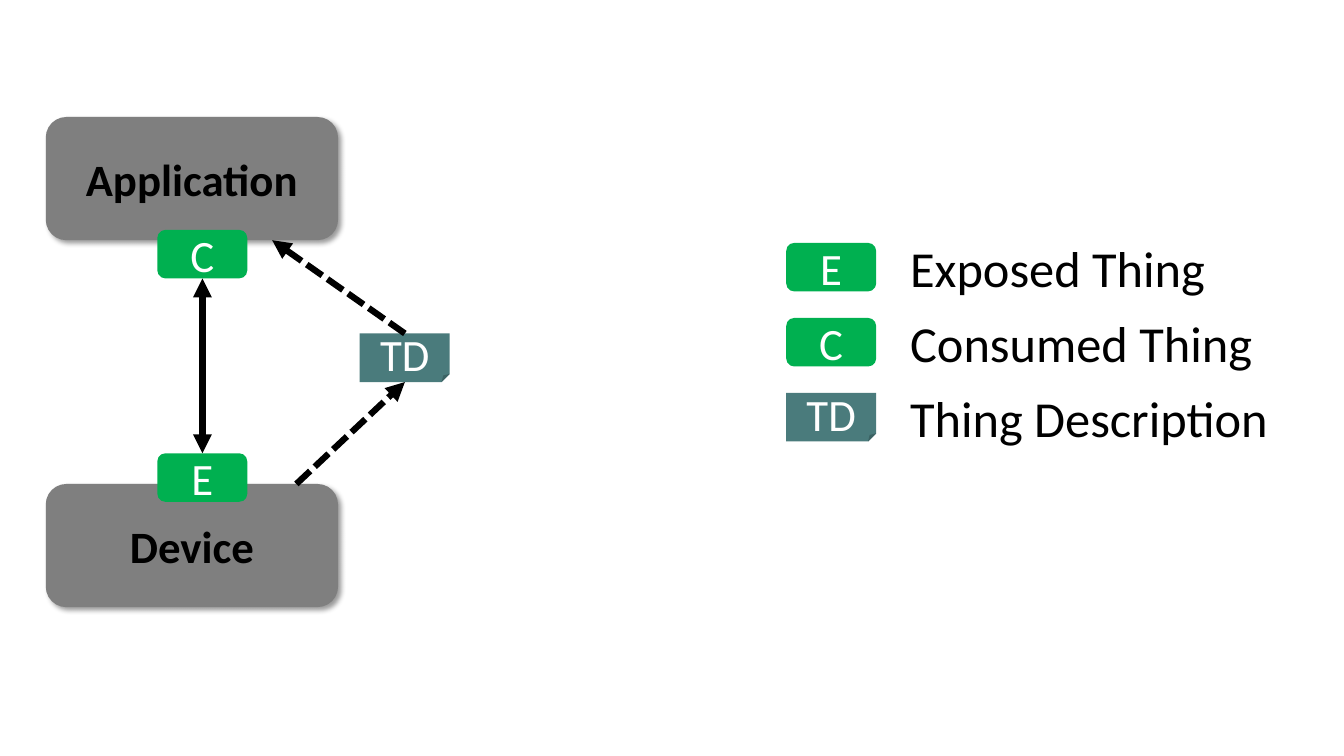
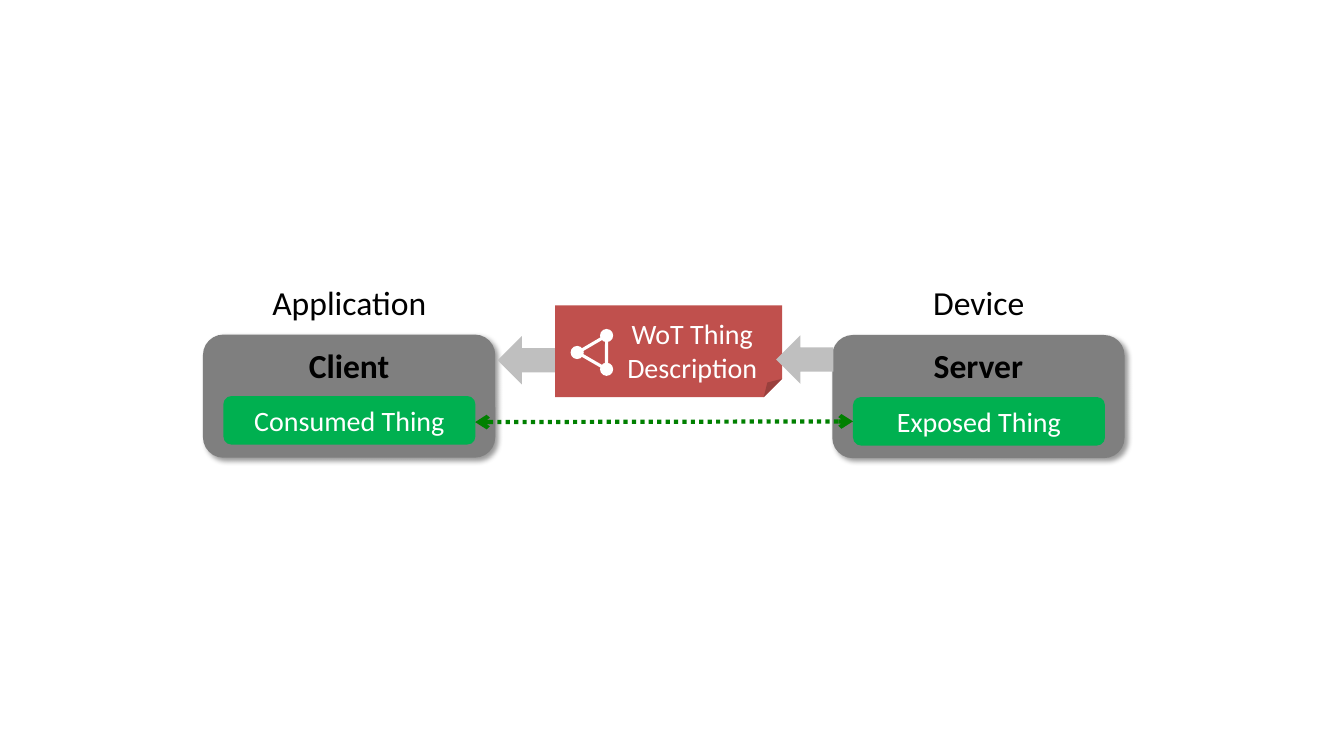
from dataclasses import dataclass, replace
from lxml import etree
from pptx import Presentation
from pptx.dml import color
from pptx.enum import dml, shapes, text
from pptx.oxml import ns
from pptx.shapes import autoshape, shapetree
from pptx.util import Pt

Kind = shapes.MSO_SHAPE
Dash = dml.MSO_LINE
FONT = "Calibri"
BLACK, WHITE, GRAY, SILVER = "000000", "FFFFFF", "7F7F7F", "BFBFBF"
GREEN, LIME, TEAL, RED = "008000", "00B050", "4A7B7C", "C0504D"


@dataclass(frozen=True)
class Look:
    kind: Kind
    w: float
    h: float
    fill: str = ""
    size: float = 32
    ink: str = WHITE
    bold: bool = False
    shade: bool = False
    top: bool = False
    wrap: bool = True
    inset: tuple[float, float, float, float] = (7.2, 3.6, 7.2, 3.6)
    turn: float = 0
    fold: float = 0
    edge: float = 0


@dataclass(frozen=True)
class Item:
    look: Look
    x: float
    y: float
    words: str = ""


@dataclass(frozen=True)
class Label:
    words: str
    x: float
    y: float
    w: float
    h: float
    size: float
    mid: bool = False


@dataclass(frozen=True)
class Link:
    start: tuple[float, float]
    end: tuple[float, float]
    hue: str = BLACK
    width: float = 4.5
    dash: Dash | None = None
    head: str = ""
    tail: str = "triangle"


BOX = Look(Kind.ROUNDED_RECTANGLE, 208.8, 88, GRAY, ink=BLACK, bold=True, shade=True)
ROLE = replace(BOX, size=24, top=True, inset=(5.8, 2.9, 5.8, 2.9))
TAG = Look(Kind.ROUNDED_RECTANGLE, 64.3, 34.7, LIME)
THING = replace(TAG, w=180, size=20)
DOC = replace(TAG, kind=Kind.FOLDED_CORNER, fill=TEAL)
NOTE = Look(Kind.FOLDED_CORNER, 162, 65.5, RED, 20, wrap=False,
            inset=(33.8, 11.5, 0, 0), fold=0.2)
TRIO = Look(Kind.ISOSCELES_TRIANGLE, 23.8, 20.9, turn=30, edge=2.25)
DOT = Look(Kind.OVAL, 9.4, 9.4, WHITE)
ARROW = Look(Kind.DOWN_ARROW, 34.6, 41, SILVER, turn=90)


def rgb(code: str) -> color.RGBColor:
    return color.RGBColor.from_string(code)


def write(frame: text.MSO_ANCHOR, words: str, size: float, ink: str,
          bold: bool, mid: bool) -> None:
    frame.text = words
    for para in frame.paragraphs:
        para.alignment = text.PP_ALIGN.CENTER if mid else text.PP_ALIGN.LEFT
        for run in para.runs:
            run.font.name = FONT
            run.font.size = Pt(size)
            run.font.bold = bold
            run.font.color.rgb = rgb(ink)


def shade(shape: autoshape.Shape) -> None:
    effect = shape.element.spPr.find(ns.qn("a:effectLst"))
    glow = etree.SubElement(effect, ns.qn("a:outerShdw"), blurRad=str(Pt(4)),
                            dist=str(Pt(3)), dir="2700000", algn="tl", rotWithShape="0")
    tint = etree.SubElement(glow, ns.qn("a:srgbClr"), val=BLACK)
    etree.SubElement(tint, ns.qn("a:alpha"), val="40000")


def crease(shape: autoshape.Shape, fold: float) -> None:
    form = shape.element.spPr.find(ns.qn("a:prstGeom"))
    for old in list(form):
        form.remove(old)
    guides = etree.SubElement(form, ns.qn("a:avLst"))
    etree.SubElement(guides, ns.qn("a:gd"), name="adj", fmla=f"val {round(fold * 100000)}")


def draw(tree: shapetree.SlideShapes | shapetree.GroupShapes, item: Item) -> None:
    look = item.look
    shape = tree.add_shape(look.kind, Pt(item.x), Pt(item.y), Pt(look.w), Pt(look.h))
    shape.shadow.inherit = False
    shape.rotation = look.turn
    if look.fold:
        crease(shape, look.fold)
    if look.fill:
        shape.fill.solid()
        shape.fill.fore_color.rgb = rgb(look.fill)
    else:
        shape.fill.background()
    if look.edge:
        shape.line.color.rgb = rgb(look.ink)
        shape.line.width = Pt(look.edge)
    else:
        shape.line.fill.background()
    if look.shade:
        shade(shape)
    if item.words:
        frame = shape.text_frame
        frame.word_wrap = look.wrap
        frame.vertical_anchor = text.MSO_ANCHOR.TOP if look.top else text.MSO_ANCHOR.MIDDLE
        frame.margin_left, frame.margin_top, frame.margin_right, frame.margin_bottom = map(
            Pt, look.inset)
        write(frame, item.words, look.size, look.ink, look.bold, True)


def label(tree: shapetree.SlideShapes, item: Label) -> None:
    frame = tree.add_textbox(Pt(item.x), Pt(item.y), Pt(item.w), Pt(item.h)).text_frame
    frame.word_wrap = False
    frame.auto_size = text.MSO_AUTO_SIZE.SHAPE_TO_FIT_TEXT
    write(frame, item.words, item.size, BLACK, False, item.mid)


def join(tree: shapetree.SlideShapes, link: Link) -> None:
    wire = tree.add_connector(shapes.MSO_CONNECTOR.STRAIGHT, *map(Pt, link.start + link.end))
    wire.line.color.rgb = rgb(link.hue)
    wire.line.width = Pt(link.width)
    if link.dash:
        wire.line.dash_style = link.dash
    props = wire.element.spPr
    stroke = props.find(ns.qn("a:ln"))
    for name, tip in (("a:headEnd", link.head), ("a:tailEnd", link.tail)):
        if tip:
            etree.SubElement(stroke, ns.qn(name), type=tip)
    etree.SubElement(props, ns.qn("a:effectLst"))


def build(deck: Presentation, items: list[Item], labels: list[Label],
          links: list[Link]) -> shapetree.SlideShapes:
    tree = deck.slides.add_slide(deck.slide_layouts[6]).shapes
    for item in items:
        draw(tree, item)
    for item in labels:
        label(tree, item)
    for link in links:
        join(tree, link)
    return tree


deck = Presentation()
deck.slide_width, deck.slide_height = Pt(960), Pt(540)

keys = [(TAG, "E", "Exposed Thing", 227.5), (TAG, "C", "Consumed Thing", 261.4),
        (DOC, "TD", "Thing Description", 272.9)]
STEP = 53.6
build(
    deck,
    [Item(BOX, 32.7, 83.6, "Application"), Item(BOX, 32.7, 345.7, "Device"),
     Item(DOC, 257, 238.2, "TD"), Item(TAG, 112.4, 164.2, "C"),
     Item(TAG, 112.4, 323.8, "E")]
    + [Item(look, 561.6, 173.5 + row * STEP, mark)
       for row, (look, mark, _, _) in enumerate(keys)],
    [Label(words, 643, 165.6 + row * STEP, wide, 50.9, 36)
     for row, (_, _, words, wide) in enumerate(keys)],
    [Link((144.6, 198.9), (144.6, 323.8), head="triangle"),
     Link((211.7, 345.7), (289.2, 272.9), dash=Dash.SQUARE_DOT),
     Link((289.2, 238.2), (194.4, 171.6), dash=Dash.SQUARE_DOT)],
)

tree = build(
    deck,
    [Item(ROLE, 145, 239, "Client"), Item(ROLE, 594.5, 239.3, "Server"),
     Item(THING, 609.3, 283.6, "Exposed Thing"),
     Item(replace(THING, wrap=False), 159.6, 282.9, "Consumed Thing")],
    [Label("Application", 186.5, 197.5, 126, 36.4, 24, True),
     Label("Device", 658.8, 197.5, 80.6, 36.4, 24, True)],
    [Link((339.4, 301.5), (609.3, 301), GREEN, 3, Dash.ROUND_DOT, "arrow", "arrow")],
)
note = tree.add_group_shape().shapes
draw(note, Item(NOTE, 396.6, 218.2, "WoT Thing\vDescription"))
draw(note, Item(TRIO, 416.2, 238.3))
for x, y in ((428.6, 235), (407.6, 247.1), (428.6, 259.1)):
    draw(note, Item(DOT, x, y))
for x, y in ((557.5, 236.3), (358.6, 236.8)):
    draw(tree, Item(ARROW, x, y))

deck.save("out.pptx")
